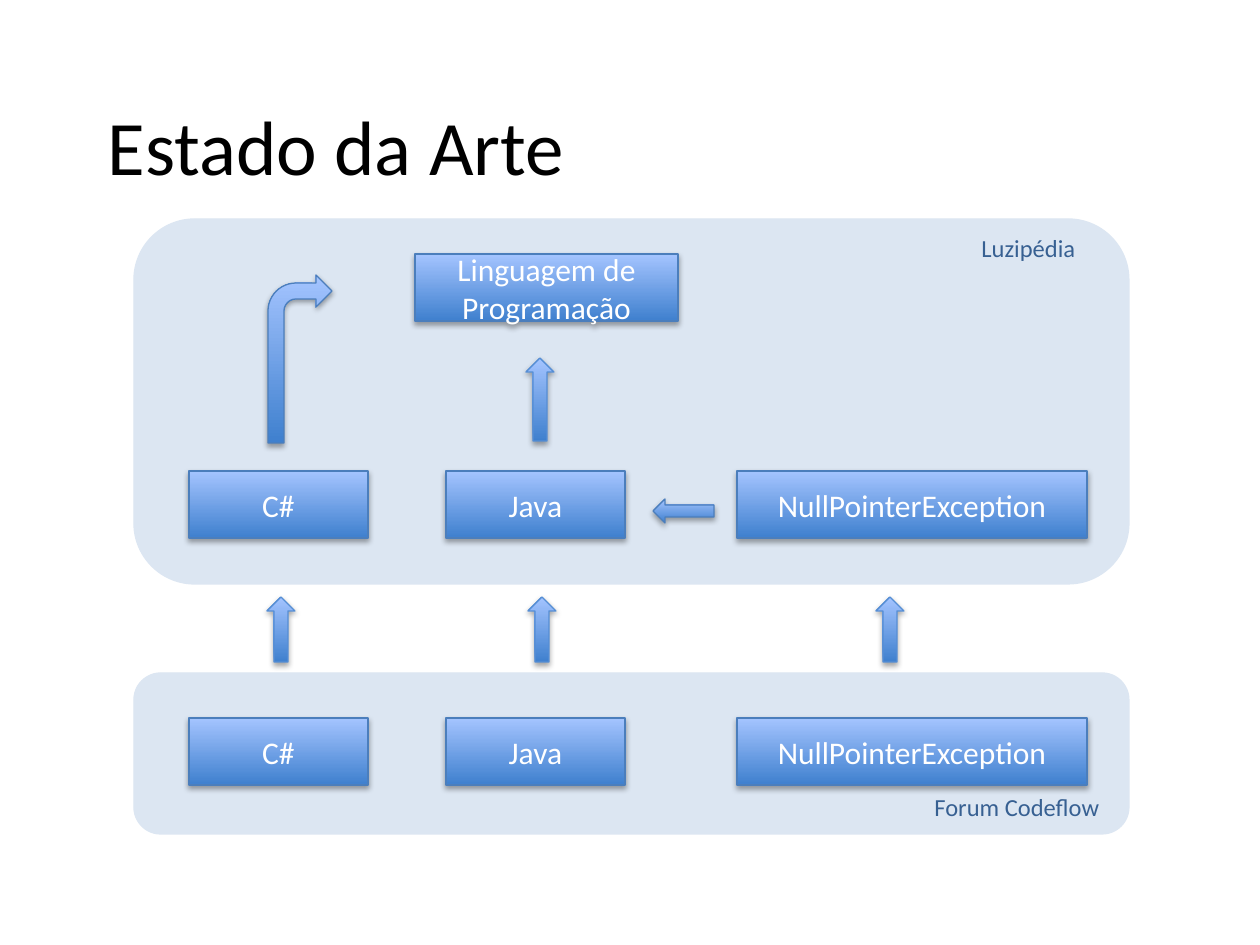
from lxml.etree import SubElement
from pptx import Presentation
from pptx.dml.color import RGBColor
from pptx.enum.shapes import MSO_SHAPE as Shape
from pptx.enum.text import MSO_ANCHOR as Anchor, PP_ALIGN as Align
from pptx.oxml.ns import qn
from pptx.util import Emu, Pt

EMU_PER_INCH, PX_PER_INCH = 914400, 126
FONT = "Calibri"
BLACK = RGBColor(0x00, 0x00, 0x00)
WHITE = RGBColor(0xFF, 0xFF, 0xFF)
PANEL = RGBColor(0xDC, 0xE6, 0xF2)
LABEL = RGBColor(0x37, 0x60, 0x92)
DEEP = RGBColor(0x3F, 0x80, 0xCE)
PALE = RGBColor(0xA4, 0xC4, 0xFF)
EDGE = RGBColor(0x4B, 0x7E, 0xBC)
LIGHT_EDGE = RGBColor(0x55, 0x8E, 0xD5)


def px(length):
    return Emu(round(length * EMU_PER_INCH / PX_PER_INCH))


class Diagram:
    def __init__(self, slide):
        self.slide = slide

    def place(self, shape, box):
        shape.left, shape.top, shape.width, shape.height = map(px, box)

    def add_text(self, frame, text, size, color, align, anchor):
        frame.word_wrap = True
        frame.vertical_anchor = anchor
        paragraph = frame.paragraphs[0]
        paragraph.alignment = align
        run = paragraph.add_run()
        run.text = text
        run.font.name = FONT
        run.font.size = Pt(size)
        run.font.color.rgb = color

    def title(self, text, box):
        heading = self.slide.shapes.title
        self.place(heading, box)
        self.add_text(heading.text_frame, text, 44, BLACK, Align.LEFT, Anchor.MIDDLE)

    def label(self, text, box):
        caption = self.slide.shapes.add_textbox(*map(px, box))
        self.add_text(caption.text_frame, text, 14, LABEL, Align.LEFT, Anchor.TOP)

    def outline(self, kind, box, edge):
        shape = self.slide.shapes.add_shape(kind, *map(px, box))
        shape.line.color.rgb = edge
        shape.line.width = Pt(0.75)
        shape.shadow.inherit = False
        return shape

    def panel(self, box):
        panel = self.outline(Shape.ROUNDED_RECTANGLE, box, PANEL)
        panel.fill.solid()
        panel.fill.fore_color.rgb = PANEL

    def glossy(self, kind, box, edge=EDGE):
        shape = self.outline(kind, box, edge)
        shape.fill.gradient()
        shape.fill.gradient_angle = 90
        for stop, color in zip(shape.fill.gradient_stops, (DEEP, PALE)):
            stop.color.rgb = color
        # Soft shadow straight below
        effects = shape._element.spPr.find(qn("a:effectLst"))
        shadow = SubElement(effects, qn("a:outerShdw"), blurRad="40000",
                            dist="23000", dir="5400000", rotWithShape="0")
        tone = SubElement(shadow, qn("a:srgbClr"), val=str(BLACK))
        SubElement(tone, qn("a:alpha"), val="35000")
        return shape

    def concept(self, text, box):
        concept = self.glossy(Shape.RECTANGLE, box)
        self.add_text(concept.text_frame, text, 18, WHITE, Align.CENTER, Anchor.MIDDLE)


def main():
    deck = Presentation()
    deck.slide_width, deck.slide_height = px(1260), px(945)
    title_only = deck.slide_layouts[5]
    diagram = Diagram(deck.slides.add_slide(title_only))

    diagram.title("Estado da Arte", (95, 86, 1071, 118))

    # Encyclopedia and forum panels
    diagram.panel((134, 219, 995, 365))
    diagram.panel((134, 673, 995, 161))
    diagram.label("Luzipédia", (969, 227, 166, 43))
    diagram.label("Forum Codeflow", (922, 786, 236, 43))

    # The same concepts in both panels, linked upwards
    columns = (("C#", 189, 179, 267),
               ("Java", 446, 179, 528),
               ("NullPointerException", 737, 350, 876))
    for name, left, width, arrow_left in columns:
        for top in (471, 718):
            diagram.concept(name, (left, top, width, 67))
        diagram.glossy(Shape.UP_ARROW, (arrow_left, 597, 28, 65), LIGHT_EDGE)

    # Parent concept and the links inside the encyclopedia
    diagram.concept("Linguagem de Programação", (415, 254, 263, 67))
    diagram.glossy(Shape.BENT_ARROW, (268, 275, 64, 168))
    diagram.glossy(Shape.UP_ARROW, (526, 358, 28, 83), LIGHT_EDGE)
    diagram.glossy(Shape.LEFT_ARROW, (653, 499, 61, 24))

    deck.save("out.pptx")


if __name__ == "__main__":
    main()
